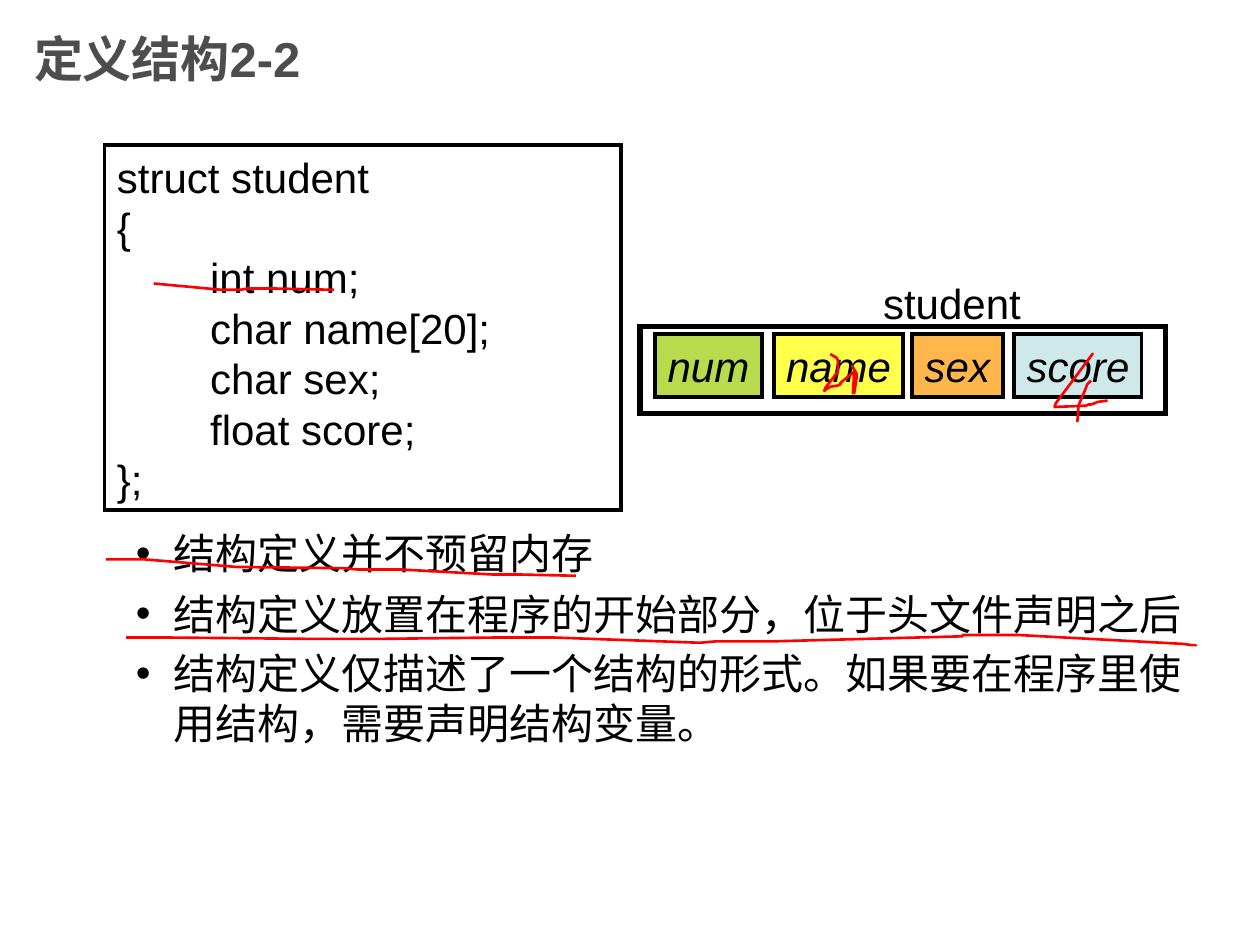
from lxml import etree
from pptx import Presentation
from pptx import util as u
from pptx.dml import color
from pptx.enum import shapes, text
from pptx.oxml import ns

PX = 9144

CODE = """struct student
{
        int num;
        char name[20];
        char sex;
        float score;
};"""

FIELDS = [
    ("num", "99CC00", 12, 85),
    ("name", "FFFF00", 106, 103),
    ("sex", "FF9900", 216, 72),
    ("score", "BBE0E3", 297, 101),
]

NOTES = [
    ("结构定义并不预留内存", 0, 772, 50),
    ("结构定义放置在程序的开始部分，位于头文件声明之后", 48, 850, 50),
    ("结构定义仅描述了一个结构的形式。如果要在程序里使用结构，需要声明结构变量。", 95, 866, 90),
]

STROKES = [
    [(122, 225), (176, 230), (191, 230), (196, 229), (218, 229), (265, 230)],
    [(659, 281), (664, 284), (665, 286), (665, 295), (655, 308), (655, 310),
     (654, 310), (659, 307), (665, 306), (667, 305), (667, 304), (678, 295),
     (677, 312), (678, 312), (680, 299), (680, 297), (679, 295), (676, 290)],
    [(868, 281), (867, 281), (841, 316), (838, 320), (837, 323), (862, 322),
     (864, 321), (866, 321), (869, 320), (871, 319), (879, 318)],
    [(866, 302), (863, 305), (861, 310), (858, 317), (856, 322), (855, 335)],
    [(84, 444), (115, 444), (188, 450), (273, 451), (284, 452), (318, 452),
     (391, 456), (412, 456), (457, 457)],
    [(100, 506), (135, 506), (243, 507), (305, 507), (392, 506), (440, 506),
     (552, 510), (557, 510), (568, 509), (613, 509), (764, 505), (764, 504),
     (809, 504), (939, 511), (946, 512), (949, 512), (949, 513)],
]


def rgb(code):
    """Turn a hex string into a colour."""
    return color.RGBColor.from_string(code)


def place(part, x, y, w, h):
    """Set the box of a part in px."""
    part.left, part.top, part.width, part.height = (n * PX for n in (x, y, w, h))


def write(part, words, size=24, ink="000000", bold=False, slant=False,
          wrap=True, grow=True, dot=False, mid=False, right=10):
    """Fill a part with formatted lines of text."""
    frame = part.text_frame
    frame.text = words
    frame.word_wrap = wrap
    frame.margin_right = right * PX
    frame.auto_size = (text.MSO_AUTO_SIZE.SHAPE_TO_FIT_TEXT if grow
                       else text.MSO_AUTO_SIZE.NONE)
    frame.vertical_anchor = text.MSO_ANCHOR.MIDDLE if mid else text.MSO_ANCHOR.TOP
    for line in frame.paragraphs:
        line.alignment = text.PP_ALIGN.LEFT
        if dot:
            bullet(line)
        for run in line.runs:
            font = run.font
            font.name, font.size = "Arial", u.Pt(size)
            font.bold, font.italic = bold, slant
            font.color.rgb = rgb(ink)


def bullet(line):
    """Give a paragraph a black dot and a hanging indent."""
    props = line._p.get_or_add_pPr()
    props.set("marL", str(30 * PX))
    props.set("indent", str(-30 * PX))
    tint = etree.SubElement(props, ns.qn("a:buClr"))
    etree.SubElement(tint, ns.qn("a:srgbClr"), val="000000")
    etree.SubElement(props, ns.qn("a:buFont"), typeface="Arial")
    etree.SubElement(props, ns.qn("a:buChar"), char="•")


def paint(part, fill=None, alpha=100, edge=None, width=2.25):
    """Set the fill, its opacity and the outline of a shape."""
    part.shadow.inherit = False
    if fill:
        part.fill.solid()
        part.fill.fore_color.rgb = rgb(fill)
        tint = part._element.spPr.find(".//" + ns.qn("a:srgbClr"))
        etree.SubElement(tint, ns.qn("a:alpha"), val=str(alpha * 1000))
    else:
        part.fill.background()
    if edge:
        part.line.color.rgb = rgb(edge)
        part.line.width = u.Pt(width)
    else:
        part.line.fill.background()


def block(slide, x, y, w, h, **look):
    """Add a painted rectangle with sharp corners."""
    part = slide.shapes.add_shape(shapes.MSO_SHAPE.RECTANGLE,
                                  *(n * PX for n in (x, y, w, h)))
    paint(part, **look)
    edge = part._element.spPr.find(ns.qn("a:ln"))
    etree.SubElement(edge, ns.qn("a:miter"), lim="800000")
    return part


def head(slide, x, y, w, h):
    """Place the title."""
    title = slide.shapes.title
    place(title, x, y, w, h)
    write(title, "定义结构2-2", size=28, ink="4D4D4D", bold=True, grow=False, mid=True)


def code(slide, x, y, w, h):
    """Draw the framed struct listing."""
    write(block(slide, x, y, w, h, fill="FFFFFF", alpha=80, edge="000000"), CODE)


def record(slide, x, y, w, h):
    """Draw the student record with its label and fields."""
    label = slide.shapes.add_textbox(0, 0, 0, 0)
    place(label, x + 183, y - 44, 129, 50)
    write(label, "student", wrap=False)
    block(slide, x, y, w, h, edge="000000", width=3)
    for name, fill, left, wide in FIELDS:
        cell = block(slide, x + left, y + 6, wide, 50, fill=fill, alpha=70, edge="000000")
        write(cell, name, slant=True, grow=False, right=0)


def notes(slide, x, y):
    """Stack the bulleted remarks."""
    for words, drop, w, h in NOTES:
        part = block(slide, x, y + drop, w, h, fill="FFFFFF", alpha=80)
        write(part, words, dot=True)


def marks(slide):
    """Draw the red pen strokes."""
    for first, *rest in STROKES:
        pen = slide.shapes.build_freeform(*first, scale=PX)
        pen.add_line_segments(rest, close=False)
        paint(pen.convert_to_shape(), edge="FF0000", width=1.5)


def main():
    """Build and save the slide."""
    deck = Presentation()
    deck.slide_width, deck.slide_height = 1000 * PX, 750 * PX
    slide = deck.slides.add_slide(deck.slide_layouts[5])
    head(slide, 17, 0, 750, 92)
    code(slide, 83, 115, 410, 290)
    record(slide, 508, 259, 417, 69)
    notes(slide, 98, 414)
    marks(slide)
    deck.save("out.pptx")


if __name__ == "__main__":
    main()
